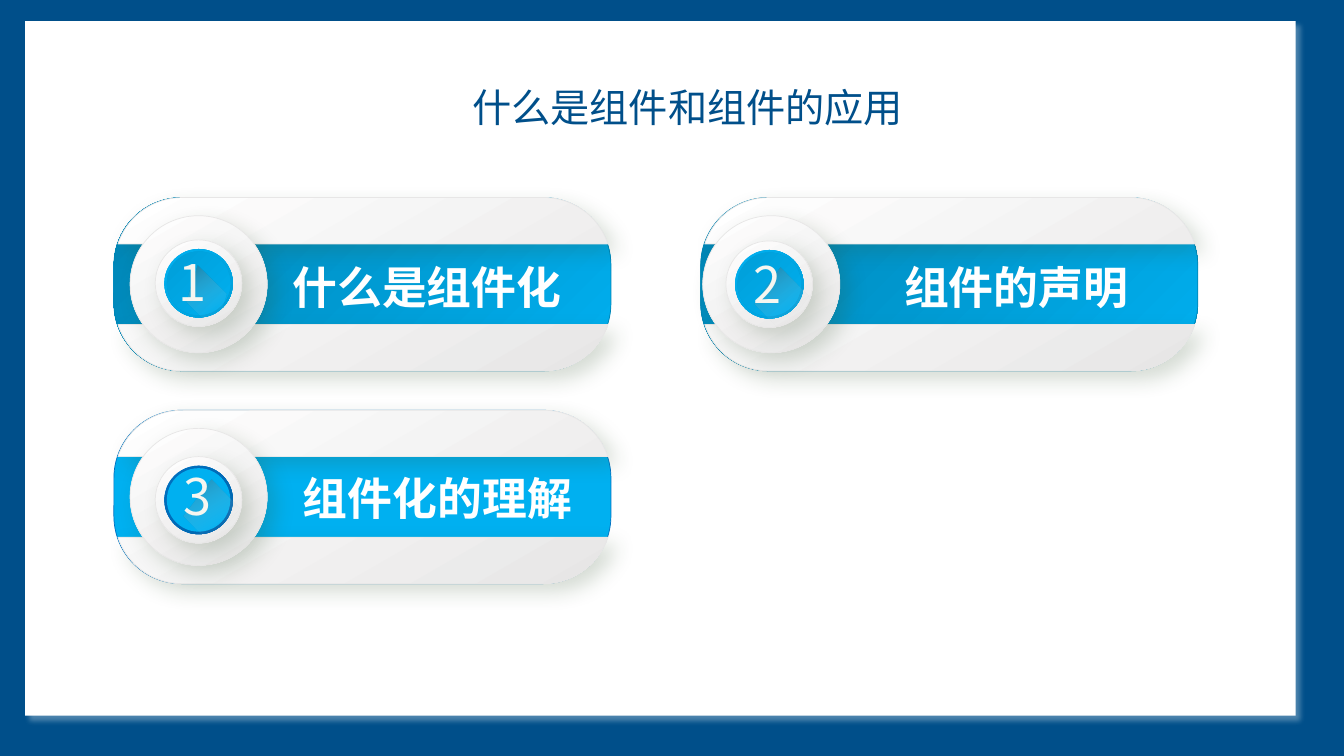
from dataclasses import dataclass

from lxml.etree import SubElement
from pptx import Presentation
from pptx.dml.color import RGBColor
from pptx.enum.shapes import MSO_SHAPE
from pptx.enum.text import MSO_ANCHOR, PP_ALIGN
from pptx.oxml.ns import qn
from pptx.util import Emu, Pt

EMU_PER_PX = 9144
COLORS = {
    "navy": "004F8A", "white": "FFFFFF", "silver": "E7E6E6", "moss": "32522C",
    "sky": "00B0F0", "azure": "009ED8", "teal": "0084B4", "blue": "0070C0",
    "deep": "0065AD", "ivory": "F6F6F0", "charcoal": "3F3F3F",
}
# Gradients: first colour, last colour, clockwise angle
PEARL = ("white", "silver", 60)
FADE = ("charcoal", "white", 60)
SKY_TO_TEAL = ("sky", "teal", 225)
TEAL_TO_SKY = ("teal", "sky", 45)
SKY_TO_AZURE = ("sky", "azure", 45)
AZURE_TO_SKY = ("azure", "sky", 45)
BLUE_TO_DEEP = ("blue", "deep", 45)
# Shadows: colour, opacity, blur, distance, angle
SOFT_SHADOW = ("moss", 20, 15, 8, 45)
PANEL_SHADOW = ("white", 30, 4, 5, 45)

LABEL_FONT, TITLE_FONT = "Noto Sans CJK SC", "Noto Sans CJK JP"
LEFT_COLUMN, RIGHT_COLUMN = 113, 695
TOP_ROW, BOTTOM_ROW = 196, 407
CARD_WIDTH, CARD_HEIGHT = 493, 172
CAPS_WIDTH = 494
DIAL_SIZE, HUB_SIZE, RIM_SIZE, FACE_SIZE = 136, 86, 68, 63
DIGIT_HEIGHT, DIGIT_BOX = 36, 60
DIGIT_RISE = 3  # lifts the text box so that the numeral itself is centred
SHADE_REACH = 28


@dataclass
class Card:
    label: str
    label_area: tuple
    corner: tuple
    dial_left: int
    hub_center: tuple
    digit_center: tuple
    digit_width: int
    band: object
    edge: str
    rim: tuple
    face: object


CARDS = [
    Card(label="什么是组件化", label_area=(251, 252, 345, 65),
         corner=(LEFT_COLUMN, TOP_ROW), dial_left=129, hub_center=(197, 281),
         digit_center=(191, 282), digit_width=11,
         band=SKY_TO_TEAL, edge="teal", rim=SKY_TO_AZURE, face=AZURE_TO_SKY),
    Card(label="组件的声明", label_area=(794, 252, 428, 65),
         corner=(RIGHT_COLUMN, TOP_ROW), dial_left=697, hub_center=(763, 282),
         digit_center=(761, 284), digit_width=26,
         band=TEAL_TO_SKY, edge="teal", rim=SKY_TO_AZURE, face=AZURE_TO_SKY),
    Card(label="组件化的理解", label_area=(265, 461, 338, 65),
         corner=(LEFT_COLUMN, BOTTOM_ROW), dial_left=129, hub_center=(197, 496),
         digit_center=(196, 494), digit_width=28,
         band="sky", edge="blue", rim=BLUE_TO_DEEP, face="sky"),
]


def px(value):
    return Emu(round(value * EMU_PER_PX))


def rgb(name):
    return RGBColor.from_string(COLORS[name])


def set_opacity(tint, percent):
    SubElement(tint, qn("a:alpha"), val=str(percent * 1000))


def add_shadow(shape, color, opacity, blur, distance, angle):
    effects = shape._element.spPr.find(qn("a:effectLst"))
    outer = SubElement(effects, qn("a:outerShdw"), blurRad=str(Pt(blur)), dist=str(Pt(distance)),
                       dir=str(angle * 60000), algn="tl", rotWithShape="0")
    set_opacity(SubElement(outer, qn("a:srgbClr"), val=COLORS[color]), opacity)


def paint(shape, fill, line=None, line_width=0.5, shadow=None):
    """Fill with a colour name or a gradient, then style the edge and shadow."""
    shape.shadow.inherit = False
    if isinstance(fill, str):
        shape.fill.solid()
        shape.fill.fore_color.rgb = rgb(fill)
    else:
        *names, angle = fill
        shape.fill.gradient()
        shape.fill.gradient_angle = 360 - angle
        for stop, name in zip(shape.fill.gradient_stops, names):
            stop.color.rgb = rgb(name)
    if line:
        shape.line.color.rgb = rgb(line)
        shape.line.width = Pt(line_width)
    else:
        shape.line.fill.background()
    if shadow:
        add_shadow(shape, *shadow)
    return shape


def add_preset(page, kind, area, fill, **style):
    return paint(page.shapes.add_shape(kind, *map(px, area)), fill, **style)


def add_disc(page, center, size, fill, **style):
    left, top = (middle - size / 2 for middle in center)
    return add_preset(page, MSO_SHAPE.OVAL, (left, top, size, size), fill, **style)


def add_pearl_disc(page, center, size):
    add_disc(page, center, size, PEARL, line="silver", shadow=SOFT_SHADOW)


def add_outline(page, contours, fill, **style):
    builder = None
    for contour in contours:
        start, *others = [(px(x), px(y)) for x, y in contour]
        if builder is None:
            builder = page.shapes.build_freeform(*start, scale=1.0)
        else:
            builder.move_to(*start)
        builder.add_line_segments(others, close=True)
    return paint(builder.convert_to_shape(), fill, **style)


def curve(*controls, steps=24):
    """Points along a cubic Bezier curve."""
    points = []
    for step in range(steps + 1):
        t = step / steps
        weights = ((1 - t) ** 3, 3 * t * (1 - t) ** 2, 3 * t * t * (1 - t), t ** 3)
        points.append(tuple(sum(w * c[axis] for w, c in zip(weights, controls))
                            for axis in (0, 1)))
    return points


def add_caps(page, left, top):
    """The pearl areas above and below the band, mirrored from one rounded corner."""
    right_corner = curve((490, 126), (481, 153), (456, 172), (426, 172))
    left_corner = [(CAPS_WIDTH - x, y) for x, y in reversed(right_corner)]
    lower = right_corner + left_corner
    upper = [(x, CARD_HEIGHT - y) for x, y in lower]
    contours = [[(left + x, top + y) for x, y in cap] for cap in (lower, upper)]
    add_outline(page, contours, PEARL, line="silver", shadow=SOFT_SHADOW)


def add_shade(page, center, width):
    """A digit's long shadow: its diagonal swept down and right, fading to clear."""
    x, y = center
    top_right = (x + width / 2, y - DIGIT_HEIGHT / 2)
    bottom_left = (x - width / 2, y + DIGIT_HEIGHT / 2)
    swept = [(a + SHADE_REACH, b + SHADE_REACH) for a, b in (bottom_left, top_right)]
    shade = add_outline(page, [[top_right, bottom_left, *swept]], FADE)
    shade.fill.gradient_stops[1].position = 0.76
    for tint, opacity in zip(shade._element.spPr.iter(qn("a:srgbClr")), (40, 0)):
        set_opacity(tint, opacity)


def write(box, text, size, font_name, color, bold=False):
    frame = box.text_frame
    frame.word_wrap = True
    frame.vertical_anchor = MSO_ANCHOR.MIDDLE
    paragraph = frame.paragraphs[0]
    paragraph.text = text
    paragraph.alignment = PP_ALIGN.CENTER
    font = paragraph.runs[0].font
    font.size, font.bold, font.name = Pt(size), bold, font_name
    font.color.rgb = rgb(color)
    SubElement(font._element, qn("a:ea"), typeface=font_name)


def add_text(page, area, margins, *wording, **style):
    box = page.shapes.add_textbox(*map(px, area))
    frame = box.text_frame
    frame.margin_left = frame.margin_right = px(margins[0])
    frame.margin_top = frame.margin_bottom = px(margins[1])
    write(box, *wording, **style)


def add_digit(page, number, center):
    x, y = center
    area = (x - DIGIT_BOX / 2, y - DIGIT_BOX / 2 - DIGIT_RISE, DIGIT_BOX, DIGIT_BOX)
    add_text(page, area, (0, 0), str(number), 36, LABEL_FONT, "ivory")


def add_card(page, number, card):
    left, top = card.corner
    band = add_preset(page, MSO_SHAPE.ROUNDED_RECTANGLE,
                      (left, top, CARD_WIDTH, CARD_HEIGHT), card.band, line=card.edge)
    band.adjustments[0] = 0.39
    add_caps(page, left, top)
    dial_center = (card.dial_left + DIAL_SIZE / 2, top + CARD_HEIGHT / 2)
    add_pearl_disc(page, dial_center, DIAL_SIZE)
    add_pearl_disc(page, card.hub_center, HUB_SIZE)
    add_disc(page, card.hub_center, RIM_SIZE, card.rim)
    add_disc(page, card.hub_center, FACE_SIZE, card.face)
    add_shade(page, card.digit_center, card.digit_width)
    add_digit(page, number, card.digit_center)
    add_text(page, card.label_area, (13, 7), card.label, 32, LABEL_FONT, "white", bold=True)


def main():
    deck = Presentation()
    deck.slide_width, deck.slide_height = px(1333), px(750)
    page = deck.slides.add_slide(deck.slide_layouts[6])
    page.background.fill.solid()
    page.background.fill.fore_color.rgb = rgb("navy")
    add_preset(page, MSO_SHAPE.RECTANGLE, (25, 21, 1260, 689), "white", shadow=PANEL_SHADOW)
    for number, card in enumerate(CARDS, start=1):
        add_card(page, number, card)
    title = add_preset(page, MSO_SHAPE.RECTANGLE, (383, 78, 598, 57), "white",
                       line="white", line_width=1)
    write(title, "什么是组件和组件的应用", 28, TITLE_FONT, "navy")
    deck.save("out.pptx")


if __name__ == "__main__":
    main()
